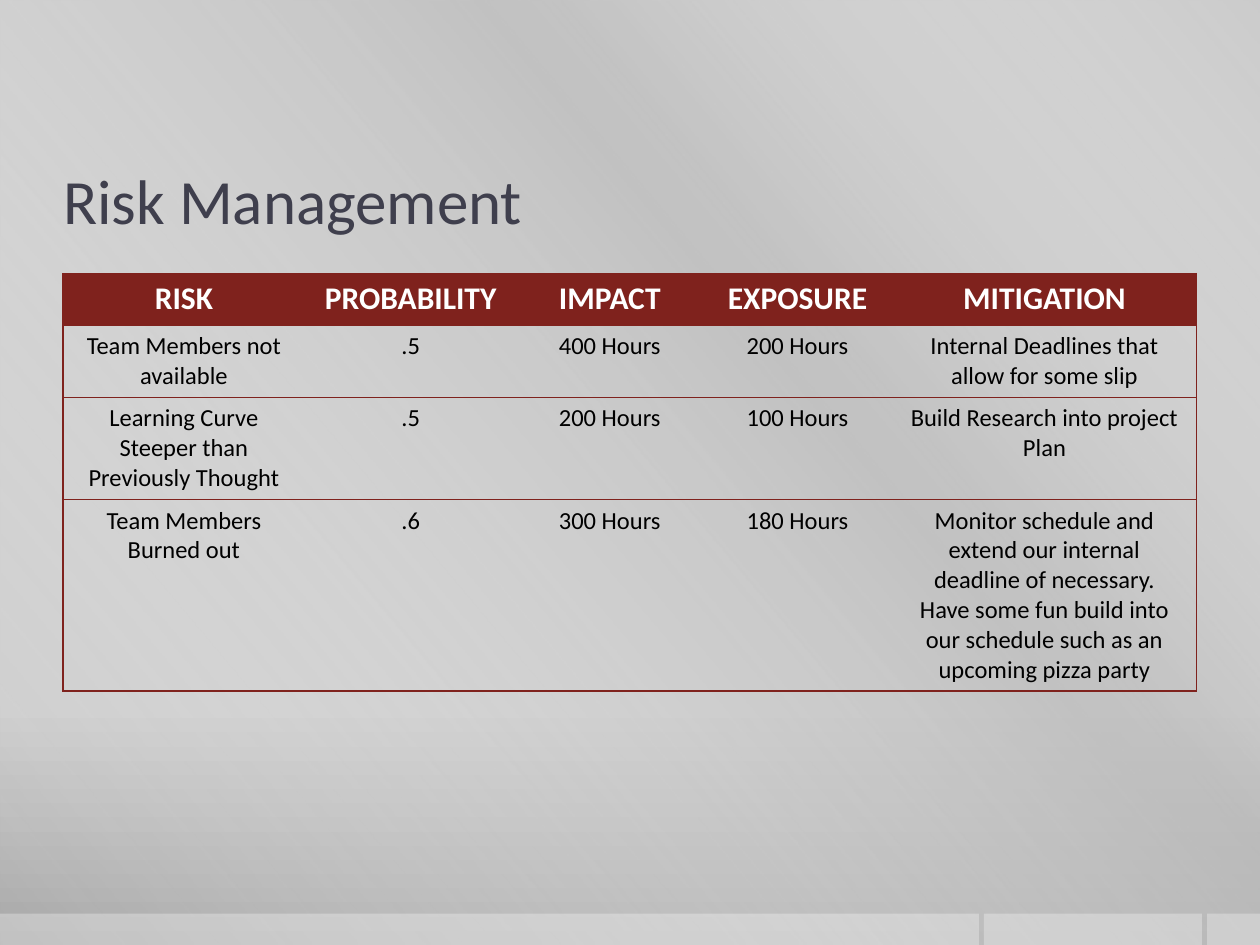
"""Build the Risk Management slide with its table of risks."""
from dataclasses import dataclass

import lxml.etree
import pptx
import pptx.dml.color
import pptx.enum.shapes
import pptx.enum.text
import pptx.oxml.ns
import pptx.util
from pptx.util import Inches

qn = pptx.oxml.ns.qn
RGBColor = pptx.dml.color.RGBColor


@dataclass(frozen=True)
class Theme:
    font: str = "Calibri"
    title: str = "3F3F4D"
    accent: str = "7F221D"
    light: str = "FFFFFF"
    band: str = "BFBFBF"
    text: str = "000000"
    title_size: int = 36
    header_size: int = 18
    body_size: int = 14
    border: float = 0.75


theme = Theme()


def add_color(parent, color, opacity=100):
    solid = lxml.etree.SubElement(parent, qn("a:srgbClr"), val=color)
    if opacity < 100:
        lxml.etree.SubElement(solid, qn("a:alpha"), val=str(opacity * 1000))


def set_gradient(properties, stops, angle):
    gradient = lxml.etree.Element(qn("a:gradFill"), rotWithShape="1")
    stop_list = lxml.etree.SubElement(gradient, qn("a:gsLst"))
    for position, color, opacity in stops:
        stop = lxml.etree.SubElement(stop_list, qn("a:gs"), pos=str(position * 1000))
        add_color(stop, color, opacity)
    lxml.etree.SubElement(gradient, qn("a:lin"), ang=str(angle * 60000), scaled="0")
    properties.replace(properties.find(qn("a:solidFill")), gradient)


presentation = pptx.Presentation()
presentation.slide_width = Inches(10)
presentation.slide_height = Inches(7.5)
slide = presentation.slides.add_slide(presentation.slide_layouts[5])

slide.background.fill.solid()
background = next(slide.element.iter(qn("p:bgPr")))
set_gradient(background, [(0, "CBCBCB", 100), (76, "C8C8C8", 100), (100, "A7A7A7", 100)], 90)

panels = [(0, 0, 10, 7.5), (9.58, 7.25, 0.42, 0.25), (7.81, 7.25, 1.73, 0.25), (0, 7.25, 7.77, 0.25)]
for index, bounds in enumerate(panels):
    shape = slide.shapes.add_shape(
        pptx.enum.shapes.MSO_SHAPE.RECTANGLE, *[Inches(length) for length in bounds]
    )
    shape.shadow.inherit = False
    shape.line.fill.background()
    shape.fill.solid()
    properties = shape.element.spPr
    if index == 0:
        sheen = [(0, theme.light, 0), (34, theme.band, 61), (38, theme.band, 76), (100, theme.light, 0)]
        set_gradient(properties, sheen, 140)
    else:
        fill = properties.find(qn("a:solidFill"))
        fill.clear()
        add_color(fill, theme.light, 30)

title = slide.shapes.title
title.left, title.top, title.width, title.height = Inches(0.5), Inches(1.08), Inches(9), Inches(1)
title.text = "Risk Management"
frame = title.text_frame
frame.margin_left = frame.margin_right = 0
frame.margin_top = frame.margin_bottom = Inches(0.05)
frame.vertical_anchor = pptx.enum.text.MSO_ANCHOR.MIDDLE
paragraph = frame.paragraphs[0]
paragraph.alignment = pptx.enum.text.PP_ALIGN.LEFT
paragraph.font.name = theme.font
paragraph.font.size = pptx.util.Pt(theme.title_size)
paragraph.font.color.rgb = RGBColor.from_string(theme.title)
title.element.getparent().append(title.element)

rows = [
    ["RISK", "PROBABILITY", "IMPACT", "EXPOSURE", "MITIGATION"],
    ["Team Members not available", ".5", "400 Hours", "200 Hours",
     "Internal Deadlines that allow for some slip"],
    ["Learning Curve Steeper than Previously Thought", ".5", "200 Hours", "100 Hours",
     "Build Research into project Plan"],
    ["Team Members Burned out", ".6", "300 Hours", "180 Hours",
     "Monitor schedule and extend our internal deadline of necessary.\n"
     "Have some fun build into our schedule such as an upcoming pizza party"],
]
column_widths = [1.92, 1.68, 1.48, 1.5, 2.42]
row_heights = [0.41, 0.57, 0.81, 1.52]
table_frame = slide.shapes.add_table(
    len(rows), len(column_widths), Inches(0.5), Inches(2.17), Inches(9), Inches(sum(row_heights))
)
table = table_frame.table
table.horz_banding = False
style = next(table_frame.element.iter(qn("a:tableStyleId")))
style.text = "{2D5ABB26-0587-4C30-8999-92F81FD0307C}"
for column, width in zip(table.columns, column_widths):
    column.width = Inches(width)

for row_index, (row, height) in enumerate(zip(rows, row_heights)):
    table.rows[row_index].height = Inches(height)
    header = row_index == 0
    for column_index, text in enumerate(row):
        cell = table.cell(row_index, column_index)
        cell.text = text
        for paragraph in cell.text_frame.paragraphs:
            paragraph.alignment = pptx.enum.text.PP_ALIGN.CENTER
            paragraph.font.name = theme.font
            paragraph.font.bold = header
            paragraph.font.size = pptx.util.Pt(theme.header_size if header else theme.body_size)
            paragraph.font.color.rgb = RGBColor.from_string(theme.light if header else theme.text)

        sides = ["T", "B"]
        if column_index == 0:
            sides.insert(0, "L")
        if column_index == len(row) - 1:
            sides.insert(0, "R")
        cell_properties = cell._tc.get_or_add_tcPr()
        for side in sides:
            line = lxml.etree.SubElement(
                cell_properties, qn(f"a:ln{side}"), w=str(pptx.util.Pt(theme.border))
            )
            add_color(lxml.etree.SubElement(line, qn("a:solidFill")), theme.accent)
        if header:
            cell.fill.solid()
            cell.fill.fore_color.rgb = RGBColor.from_string(theme.accent)
        else:
            cell.fill.background()

presentation.save("out.pptx")
